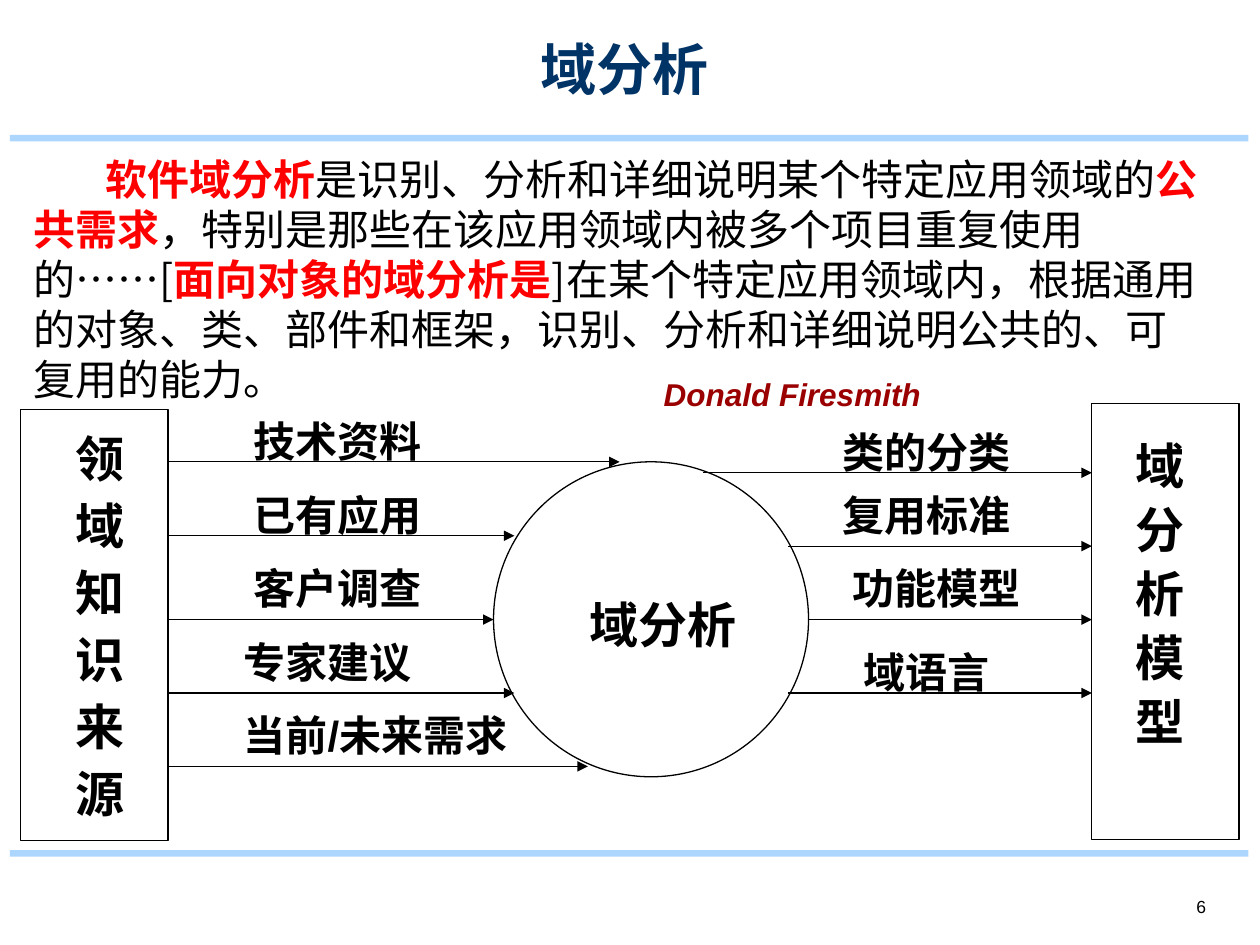
from lxml import etree
from pptx import Presentation
from pptx import util as u
from pptx.dml.color import RGBColor
from pptx.enum import shapes, text
from pptx.oxml.ns import qn

BLACK = RGBColor(0, 0, 0)
NAVY = RGBColor(0x00, 0x33, 0x66)
RED = RGBColor(0xFF, 0, 0)
MAROON = RGBColor(0x9A, 0, 0)
SKY = RGBColor(0xAD, 0xD6, 0xFF)
SANS, HAN = "Arial", "Noto Sans CJK SC"

# (text, is key phrase)
BODY = [
    ("软件域分析", True),
    ("是识别、分析和详细说明某个特定应用领域的", False),
    ("公共需求", True),
    ("，特别是那些在该应用领域内被多个项目重复使用的……[", False),
    ("面向对象的域分析是", True),
    ("]在某个特定应用领域内，根据通用的对象、类、部件和框架，"
     "识别、分析和详细说明公共的、可复用的能力。", False),
]
# (label, label left, label top, arrow start, arrow end, arrow height), in cm
EDGE_L, EDGE_R = 3.39, 22.01
INPUTS = [
    ("技术资料", 4.87, 8.26, EDGE_L, 12.49, 9.31),
    ("已有应用", 4.87, 9.74, EDGE_L, 10.37, 10.8),
    ("客户调查", 4.87, 11.22, EDGE_L, 9.95, 12.49),
    ("专家建议", 4.66, 12.7, EDGE_L, 10.37, 13.97),
    ("当前/未来需求", 4.66, 14.18, EDGE_L, 11.85, 15.45),
]
OUTPUTS = [
    ("类的分类", 16.73, 8.47, 14.18, EDGE_R, 9.53),
    ("复用标准", 16.73, 9.74, 15.88, EDGE_R, 11.01),
    ("功能模型", 16.94, 11.22, 16.3, EDGE_R, 12.49),
    ("域语言", 17.15, 12.91, 15.88, EDGE_R, 13.97),
]
# (characters, text box, line pitch in points, alignment)
COLUMNS = [
    ("领域知识来源", (0.64, 8.69, 2.75, 8.38), 28.5, text.PP_ALIGN.CENTER),
    ("域分析模型", (22.65, 8.89, 1.7, 6.65), 26.8, text.PP_ALIGN.LEFT),
]
BARS = [(0.2, 2.72, 24.97, 0.13), (0.2, 17.14, 24.97, 0.13)]
FRAMES = [
    (shapes.MSO_SHAPE.RECTANGLE, (0.42, 8.26, 2.97, 8.69)),
    (shapes.MSO_SHAPE.OVAL, (9.95, 9.31, 6.35, 6.35)),
    (shapes.MSO_SHAPE.RECTANGLE, (EDGE_R, 8.13, 2.97, 8.79)),
]

deck = Presentation()
deck.slide_width, deck.slide_height = u.Cm(25.4), u.Cm(19.05)
slide = deck.slides.add_slide(deck.slide_layouts[6])


def put(item, **form):
    for key, val in form.items():
        setattr(item, key, val)


def run(para, words, size, color=BLACK, name=SANS, **form):
    item = para.add_run()
    item.text = words
    put(item.font, size=u.Pt(size), name=name, **form)
    item.font.color.rgb = color


def frame(box, anchor=text.MSO_ANCHOR.TOP):
    body = slide.shapes.add_textbox(*map(u.Cm, box)).text_frame
    put(body, word_wrap=True, vertical_anchor=anchor)
    return body


def line(words, box, size, align=text.PP_ALIGN.LEFT,
         anchor=text.MSO_ANCHOR.TOP, **form):
    """Add a text box that holds one line."""
    para = frame(box, anchor).paragraphs[0]
    para.alignment = align
    run(para, words, size, **form)


def shape(kind, box, fill=None):
    """Add a filled shape, or an outlined one if no fill is given."""
    item = slide.shapes.add_shape(kind, *map(u.Cm, box))
    item.shadow.inherit = False
    if fill:
        item.fill.solid()
        item.fill.fore_color.rgb = fill
        item.line.fill.background()
    else:
        item.fill.background()
        item.line.color.rgb = BLACK
        item.line.width = u.Pt(0.75)


def arrow(start, end, top):
    item = slide.shapes.add_connector(
        shapes.MSO_CONNECTOR.STRAIGHT, *map(u.Cm, (start, top, end, top)))
    item.line.color.rgb = BLACK
    item.line.width = u.Pt(0.75)
    props = item.line._get_or_add_ln()
    etree.SubElement(props, qn("a:tailEnd"), type="triangle")
    etree.SubElement(item._element.spPr, qn("a:effectLst"))


for box in BARS:
    shape(shapes.MSO_SHAPE.RECTANGLE, box, SKY)

line("域分析", (6.12, 0.43, 12.93, 1.75), 32, text.PP_ALIGN.CENTER,
     text.MSO_ANCHOR.BOTTOM, color=NAVY, bold=True)
line("6", (20.96, 17.35, 3.6, 1.27), 10, text.PP_ALIGN.RIGHT,
     text.MSO_ANCHOR.BOTTOM)

para = frame((0.43, 2.97, 24.13, 6.63)).paragraphs[0]
para.line_spacing = u.Pt(28.6)
para._p.get_or_add_pPr().set("indent", str(u.Cm(1.45)))
for words, key in BODY:
    run(para, words, 24, RED if key else BLACK, HAN, bold=key)

line("Donald Firesmith", (13.13, 7.44, 7.57, 0.94), 18,
     color=MAROON, bold=True, italic=True)

for kind, box in FRAMES:
    shape(kind, box)
line("域分析", (11.63, 11.86, 4.01, 1.45), 28, bold=True)

for words, box, pitch, align in COLUMNS:
    body = frame(box)
    for i, char in enumerate(words):
        para = body.add_paragraph() if i else body.paragraphs[0]
        put(para, alignment=align, line_spacing=u.Pt(pitch),
            space_before=u.Pt(9.8 if i else 0))
        run(para, char, 28, bold=True)

for words, left, top, start, end, height in INPUTS + OUTPUTS:
    arrow(start, end, height)
    line(words, (left, top, 6.55, 1.27), 24, bold=True)

deck.save("out.pptx")
